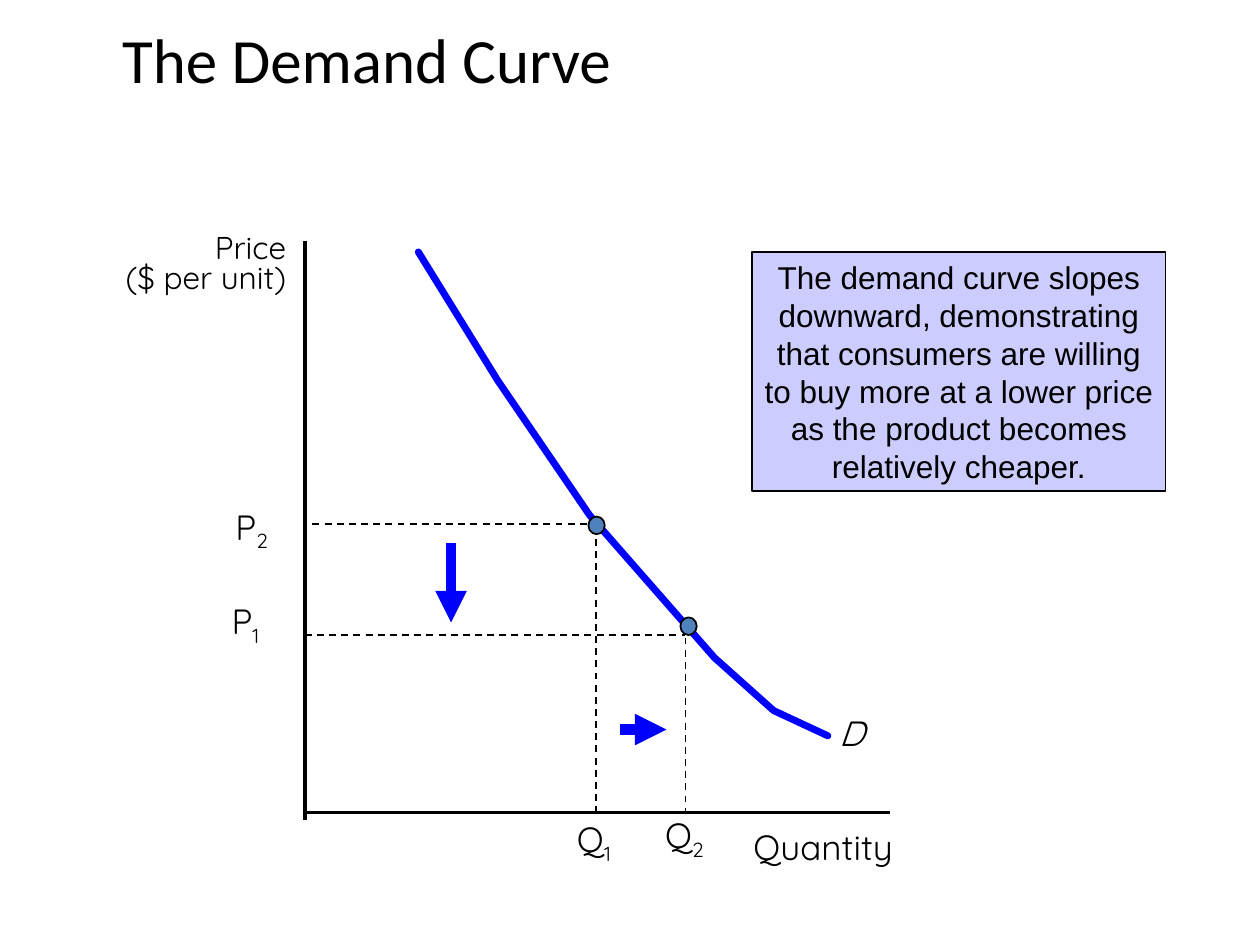
"""Build a slide that explains the downward-sloping demand curve."""
import pptx
import pptx.dml.color
import pptx.enum.dml
import pptx.enum.shapes
import pptx.enum.text
import pptx.oxml.ns
import pptx.util
from dataclasses import dataclass
from lxml import etree
from pptx.util import Inches


@dataclass(frozen=True)
class Theme:
    ink: str = "000000"
    demand: str = "0000FF"
    point: str = "4F81BD"
    callout: str = "CCCCFF"
    title_font: str = "Calibri"
    label_font: str = "Quicksand"
    callout_font: str = "Arial"
    title_size: int = 36
    label_size: int = 20
    small_size: int = 18


theme = Theme()
rgb = pptx.dml.color.RGBColor.from_string
qn = pptx.oxml.ns.qn
Align = pptx.enum.text.PP_ALIGN
Shape = pptx.enum.shapes.MSO_SHAPE


def write(text, frame, font=theme.label_font, size=theme.label_size, align=Align.LEFT,
          spacing=None, italic=None, subscript="", wrap=False):
    frame.word_wrap = wrap
    for index, sentence in enumerate(text.split("\n")):
        paragraph = frame.add_paragraph() if index else frame.paragraphs[0]
        paragraph.alignment = align
        paragraph.line_spacing = spacing
        for part in filter(None, (sentence, subscript)):
            run = paragraph.add_run()
            run.text = part
            run.font.name, run.font.size = font, pptx.util.Pt(size)
            run.font.color.rgb = rgb(theme.ink)
            run.font.italic = italic
            if part == subscript:
                run.font._element.set("baseline", "-25000")


def draw_line(x1, y1, x2, y2, color=theme.ink, width=1, dashed=False, arrow=False):
    connector = slide.shapes.add_connector(
        pptx.enum.shapes.MSO_CONNECTOR.STRAIGHT,
        Inches(x1), Inches(y1), Inches(x2), Inches(y2))
    connector.line.color.rgb = rgb(color)
    connector.line.width = pptx.util.Pt(width)
    if dashed:
        connector.line.dash_style = pptx.enum.dml.MSO_LINE.DASH
    properties = connector.element.spPr
    if arrow:
        etree.SubElement(properties.find(qn("a:ln")), qn("a:tailEnd"), type="triangle")
    etree.SubElement(properties, qn("a:effectLst"))


presentation = pptx.Presentation()
presentation.slide_width, presentation.slide_height = Inches(10), Inches(7.5)
slide = presentation.slides.add_slide(presentation.slide_layouts[5])

title = slide.shapes.title
title.left, title.top, title.width, title.height = map(Inches, (0, 0.21, 9.07, 0.5))
title.text_frame.margin_left = Inches(0.97)
title.text_frame.vertical_anchor = pptx.enum.text.MSO_ANCHOR.MIDDLE
write("The Demand Curve", title.text_frame, font=theme.title_font,
      size=theme.title_size, wrap=True)

draw_line(2.42, 1.91, 2.42, 6.51, width=2)
draw_line(2.44, 6.45, 7.06, 6.45, width=2)

curve_points = [(3.32, 2), (3.95, 3.02), (4.68, 4.09), (5.67, 5.22), (6.14, 5.64), (6.57, 5.84)]
curve_start, *curve_rest = [(Inches(x), Inches(y)) for x, y in curve_points]
curve_builder = slide.shapes.build_freeform(*curve_start)
curve_builder.add_line_segments(curve_rest, close=False)
demand_curve = curve_builder.convert_to_shape()
demand_curve.shadow.inherit = False
demand_curve.fill.background()
demand_curve.line.color.rgb = rgb(theme.demand)
demand_curve.line.width = pptx.util.Pt(4)
demand_curve.element.spPr.find(qn("a:ln")).set("cap", "rnd")

for guide in [(2.48, 4.16, 4.71, 4.16), (4.73, 4.18, 4.73, 6.45),
              (2.42, 5.04, 5.44, 5.04), (5.44, 5.06, 5.44, 6.46)]:
    draw_line(*guide, dashed=True)

for x, y in [(4.67, 4.1), (5.4, 4.9)]:
    point = slide.shapes.add_shape(Shape.OVAL, Inches(x), Inches(y), Inches(0.13), Inches(0.14))
    point.shadow.inherit = False
    point.fill.solid()
    point.fill.fore_color.rgb = rgb(theme.point)
    point.line.color.rgb = rgb(theme.ink)
    point.line.width = pptx.util.Pt(1)

for change in [(3.58, 4.31, 3.58, 4.94), (4.92, 5.79, 5.29, 5.79)]:
    draw_line(*change, color=theme.demand, width=6, arrow=True)

price_format = dict(size=theme.small_size, align=Align.RIGHT, spacing=0.8)
for text, box, text_format in [
    ("Price\n($ per unit)", (0.89, 1.82, 1.48, 0.58), price_format),
    ("Quantity", (5.88, 6.5, 1.42, 0.43), {}),
    ("D", (6.56, 5.6, 0.38, 0.43), dict(italic=True)),
    ("P", (1.77, 3.96, 0.54, 0.48), dict(subscript="2")),
    ("P", (1.74, 4.71, 0.54, 0.48), dict(subscript="1")),
    ("Q", (4.48, 6.44, 0.64, 0.48), dict(subscript="1")),
    ("Q", (5.18, 6.41, 0.63, 0.48), dict(subscript="2")),
]:
    label = slide.shapes.add_textbox(*map(Inches, box))
    write(text, label.text_frame, **text_format)

callout = slide.shapes.add_shape(Shape.RECTANGLE, *map(Inches, (5.97, 2, 3.28, 1.9)))
callout.shadow.inherit = False
callout.fill.solid()
callout.fill.fore_color.rgb = rgb(theme.callout)
callout.line.color.rgb = rgb(theme.ink)
callout.line.width = pptx.util.Pt(1)
callout.text_frame.vertical_anchor = pptx.enum.text.MSO_ANCHOR.TOP
write("The demand curve slopes\ndownward, demonstrating\nthat consumers are willing\n"
      "to buy more at a lower price\nas the product becomes\nrelatively cheaper.",
      callout.text_frame, font=theme.callout_font, size=theme.small_size, align=Align.CENTER)

presentation.save("out.pptx")
